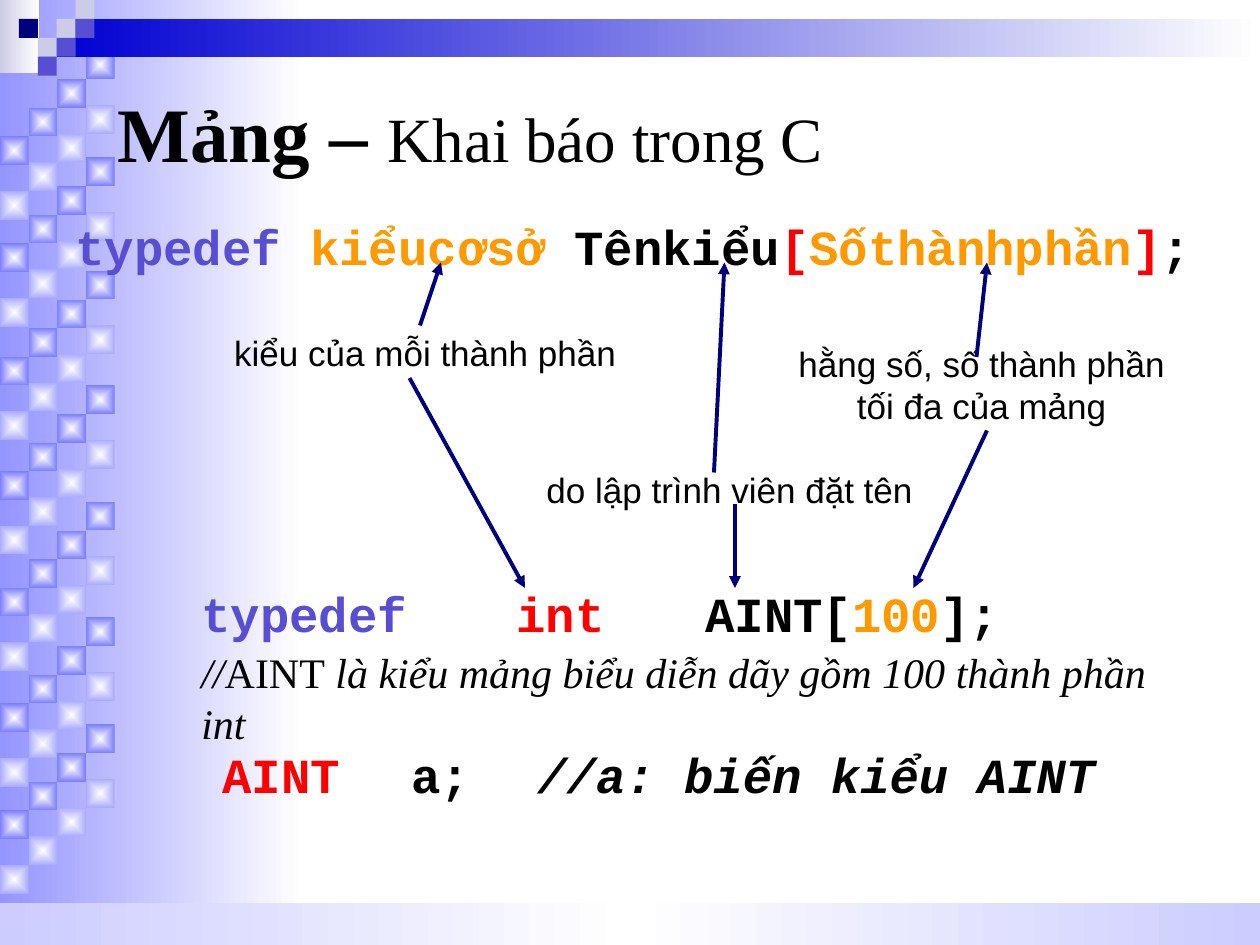
from dataclasses import dataclass

from lxml.etree import SubElement
from pptx import Presentation
from pptx.dml.color import RGBColor as RGB
from pptx.enum.shapes import MSO_CONNECTOR as LINE, MSO_SHAPE as SHAPE
from pptx.enum.text import MSO_ANCHOR as ANCHOR, MSO_AUTO_SIZE as FIT, PP_ALIGN as ALIGN
from pptx.oxml import parse_xml
from pptx.oxml.ns import nsdecls, qn
from pptx.util import Inches, Pt


@dataclass(frozen=True)
class Theme:
    black: str = "000000"
    white: str = "FFFFFF"
    navy: str = "00007D"
    violet: str = "584ED4"
    orange: str = "FF9900"
    red: str = "FF0000"
    mist: str = "CCCCE6"
    lilac: str = "CCCCFF"
    side: str = "9595FF"
    banner: str = "0000D2"
    bead_dark: str = "7D7DFF"
    bead_light: str = "ABABFF"
    serif: str = "Times New Roman"
    sans: str = "Arial"
    mono: str = "Courier New"
    title: int = 44
    subtitle: int = 36
    code: int = 28
    comment: int = 24
    label: int = 20
    arrow: float = 2.25


T = Theme()
COLS, ROWS = 120, 90
UNIT = Inches(10) // COLS
TILE, BEAD = 1.8, 2.73

TITLE = dict(name=T.serif, size=T.title, bold=True)
CODE = dict(name=T.mono, size=T.code, bold=True)
COMMENT = dict(name=T.serif, size=T.comment, italic=True)
LABEL = dict(name=T.sans, size=T.label)


def grid(*cells):
    return [round(c * UNIT) for c in cells]


def add_rect(s, box, fill, path=False):
    sp = s.shapes.add_shape(SHAPE.RECTANGLE, *grid(*box))
    sp.shadow.inherit = False
    sp.line.fill.background()
    if isinstance(fill, str):
        sp.fill.solid()
        sp.fill.fore_color.rgb = RGB.from_string(fill)
        return
    sp.fill.background()
    stops = "".join(
        f'<a:gs pos="{100000 * i // (len(fill) - 1)}"><a:srgbClr val="{c}"/></a:gs>'
        for i, c in enumerate(fill))
    shade = ('<a:path path="rect"><a:fillToRect l="50000" t="50000" r="50000" b="50000"/></a:path>'
             if path else '<a:lin ang="0" scaled="0"/>')
    spPr = sp._element.spPr
    spPr.replace(spPr.find(qn("a:noFill")), parse_xml(
        f'<a:gradFill {nsdecls("a")} rotWithShape="1"><a:gsLst>{stops}</a:gsLst>{shade}</a:gradFill>'))


def set_text(tf, runs, base, align=ALIGN.LEFT, tabs=()):
    p = tf.paragraphs[0]
    p.alignment = align
    p.space_before = Pt(0)
    if tabs:
        tab_list = SubElement(p._p.get_or_add_pPr(), qn("a:tabLst"))
        for pos in tabs:
            SubElement(tab_list, qn("a:tab"), pos=str(Inches(pos)), algn="l")
    for text, color, *extra in runs:
        r = p.add_run()
        r.text = text
        r.font.color.rgb = RGB.from_string(color)
        formats = {**base, **(extra[0] if extra else {})}
        formats["size"] = Pt(formats["size"])
        for key, value in formats.items():
            setattr(r.font, key, value)
    return p


def add_text(s, box, runs, base, wrap=True, **layout):
    tf = s.shapes.add_textbox(*grid(*box)).text_frame
    tf.word_wrap = wrap
    tf.auto_size = FIT.SHAPE_TO_FIT_TEXT
    return set_text(tf, runs, base, **layout)


def add_arrow(s, start, end):
    c = s.shapes.add_connector(LINE.STRAIGHT, *grid(*start, *end))
    c.line.color.rgb = RGB.from_string(T.navy)
    c.line.width = Pt(T.arrow)
    SubElement(c.line._get_or_add_ln(), qn("a:tailEnd"), type="triangle")
    SubElement(c._element.spPr, qn("a:effectLst"))


def side_band(s, x, y, w, h):
    add_rect(s, (x, y, w, h), (T.side, T.white))
    for top in (4.8, 15, 25.8, 36.7, 47.8, 58.8, 69):
        for color, drop in ((T.bead_dark, 0), (T.bead_light, 5.2)):
            for i in range(4):
                box = (x + (3 - i) * BEAD, y + top + drop + i * BEAD, BEAD, BEAD)
                add_rect(s, box, (T.white, color), path=True)


def top_band(s, x, y, w, h):
    add_rect(s, (x, y, 3.7, h), (T.mist, T.white))
    add_rect(s, (x + 3 * TILE, y + TILE, w - 3 * TILE, 2 * TILE), (T.banner, T.white))
    for col, row, color in ((3, 1, T.mist), (4, 0, T.mist), (4, 1, T.violet), (2, 2, T.mist),
                            (1, 1, T.navy), (3, 2, T.violet), (2, 3, T.violet)):
        add_rect(s, (x + col * TILE, y + row * TILE, TILE, TILE), color)


def bottom_band(s, x, y, w, h):
    add_rect(s, (x, y, w, h), (T.lilac, T.white, T.lilac))


def heading(s, x, y, w, h):
    sp = s.shapes.title
    s.shapes._spTree.append(sp._element)
    sp.left, sp.top, sp.width, sp.height = grid(x, y, w, h)
    tf = sp.text_frame
    for key, value in dict(word_wrap=True, auto_size=FIT.NONE, vertical_anchor=ANCHOR.MIDDLE).items():
        setattr(tf, key, value)
    set_text(tf, [("Mảng – ", T.black),
                  ("Khai báo trong C", T.black, dict(size=T.subtitle, bold=False))], TITLE)


def syntax(s, x, y, w, h):
    add_text(s, (x, y, w, h), [
        ("typedef ", T.violet), ("kiểucơsở", T.orange), (" Tênkiểu", T.black), ("[", T.red),
        ("Sốthànhphần", T.orange), ("]", T.red), (";", T.black)], CODE, align=ALIGN.JUSTIFY)


def explanations(s, x, y, w, h):
    for text, col, row, width, height in (
            ("kiểu của mỗi thành phần", 1, 6, 43, 5.3),
            ("hằng số, số thành phần tối đa của mảng", 56, 7, 39, 9.2),
            ("do lập trình viên đặt tên", 30, 19, 43, 5.3)):
        add_text(s, (x + col, y + row, width, height), [(text, T.black)], LABEL, align=ALIGN.CENTER)
    top, bottom = y, y + h
    for col, row, target, edge in (
            (22, 6, 24, top), (50, 20, 51, top), (75, 9, 76, top),
            (21, 11, 32, bottom), (52, 23, 52, bottom), (76, 16, 69, bottom)):
        add_arrow(s, (x + col, y + row), (x + target, edge))


def example(s, x, y, w, h):
    add_text(s, (x, y, 83, 6.8), [
        ("typedef\t", T.violet), ("int \t", T.red), ("AINT[", T.black),
        ("100", T.orange), ("];", T.black)], CODE, tabs=(2.5, 4))
    add_text(s, (x, y + 6, w, 6), [
        ("//", T.black), ("AINT", T.black, dict(italic=False)),
        (" là kiểu mảng biểu diễn dãy gồm 100 thành phần int", T.black)], COMMENT, wrap=False)
    add_text(s, (x + 2, y + 15.3, 86, 6.8), [
        ("AINT\t", T.red), ("a;\t", T.black),
        ("//a: biến kiểu AINT", T.black, dict(italic=True))], CODE, tabs=(1.5, 2.5))


def main():
    prs = Presentation()
    prs.slide_width, prs.slide_height = grid(COLS, ROWS)
    s = prs.slides.add_slide(prs.slide_layouts[5])
    side_band(s, 0, 0, 29, ROWS)
    bottom_band(s, 0, 86, COLS, 4)
    top_band(s, 0, 0, COLS, 7)
    heading(s, 10, 6, 104, 13)
    syntax(s, 6, 20, 111, 6.8)
    explanations(s, 18, 25, 95, 31)
    example(s, 18, 55, 97.5, 22)
    prs.save("out.pptx")


if __name__ == "__main__":
    main()
